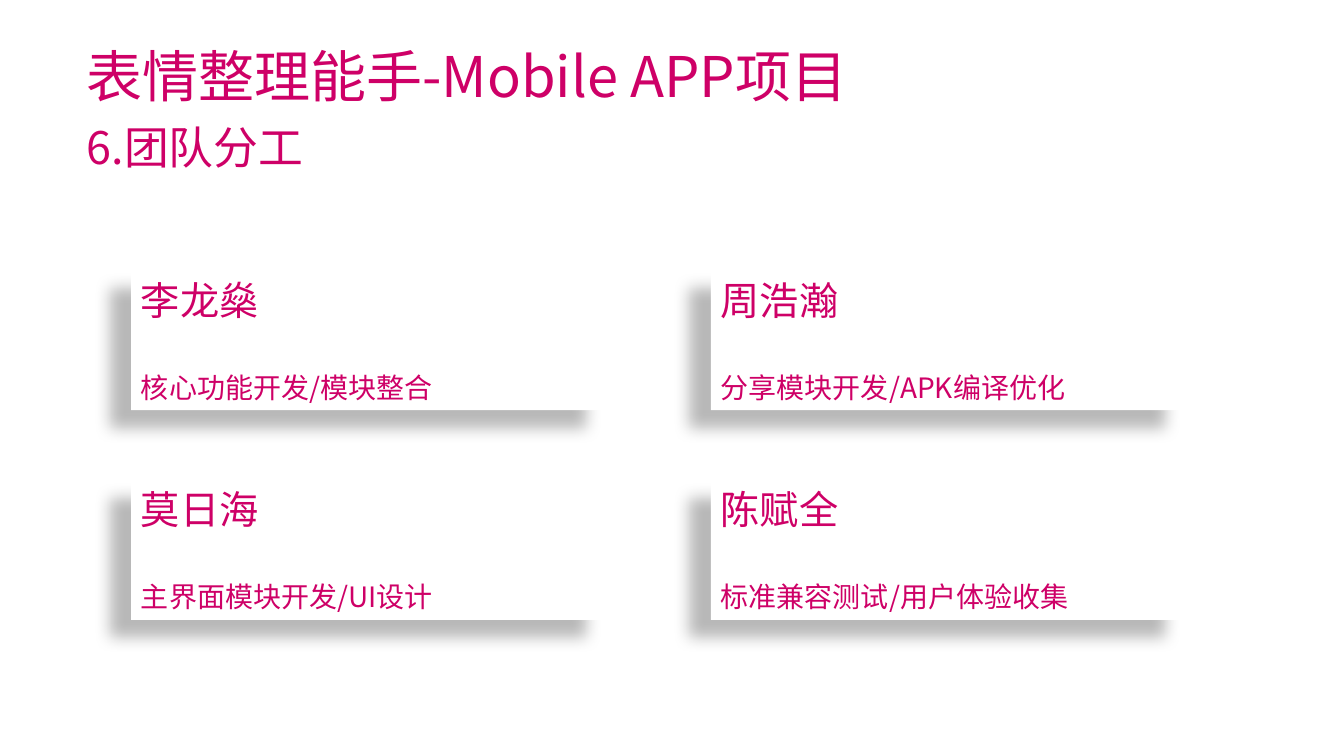
from dataclasses import dataclass

import lxml.etree
import pptx
import pptx.dml.color
import pptx.enum.shapes
import pptx.enum.text
import pptx.oxml
import pptx.oxml.ns
import pptx.presentation
import pptx.slide
import pptx.text.text
import pptx.util

COLORS = {"magenta": "CE0067", "card": "FFFFFF", "shadow": "000000"}
FONT = "Noto Sans CJK SC"
CARD_LEFT, CARD_TOP = 1.3, 2.69
CARD_WIDTH, CARD_HEIGHT = 4.72, 1.38
COLUMN_STEP, ROW_STEP = 5.75, 2.08


@dataclass(frozen=True)
class Member:
    name: str
    duty: str
    column: int
    row: int


@dataclass(frozen=True)
class Heading:
    text: str
    size: int
    left: float
    top: float
    width: float
    height: float


MEMBERS = [
    Member("李龙燊", "核心功能开发/模块整合", 0, 0),
    Member("莫日海", "主界面模块开发/UI设计", 0, 1),
    Member("周浩瀚", "分享模块开发/APK编译优化", 1, 0),
    Member("陈赋全", "标准兼容测试/用户体验收集", 1, 1),
]
HEADINGS = [
    Heading("表情整理能手-Mobile APP项目", 40, 0.76, 0.36, 10.66, 0.77),
    Heading("6.团队分工", 32, 0.76, 1.14, 11.58, 0.64),
]


def rgb(color: str) -> pptx.dml.color.RGBColor:
    return pptx.dml.color.RGBColor.from_string(COLORS[color])


def write_line(paragraph: pptx.text.text._Paragraph, text: str, size: int) -> None:
    paragraph.alignment = pptx.enum.text.PP_ALIGN.LEFT
    run = paragraph.add_run()
    run.text = text
    run.font.size = pptx.util.Pt(size)
    run.font.name = FONT
    run.font.color.rgb = rgb("magenta")
    east_asian = lxml.etree.SubElement(run.font._element, pptx.oxml.ns.qn("a:ea"))
    east_asian.set("typeface", FONT)


def fill_heading(slide: pptx.slide.Slide, index: int, heading: Heading) -> None:
    holder = slide.placeholders[index]
    holder.left, holder.top, holder.width, holder.height = map(
        pptx.util.Inches, (heading.left, heading.top, heading.width, heading.height)
    )
    frame = holder.text_frame
    frame.word_wrap = True
    frame.auto_size = pptx.enum.text.MSO_AUTO_SIZE.NONE
    frame.vertical_anchor = pptx.enum.text.MSO_ANCHOR.TOP
    paragraph = frame.paragraphs[0]
    properties = paragraph._p.get_or_add_pPr()
    properties.set("marL", "0")
    properties.set("indent", "0")
    lxml.etree.SubElement(properties, pptx.oxml.ns.qn("a:buNone"))
    paragraph.space_before = pptx.util.Pt(0)
    write_line(paragraph, heading.text, heading.size)


def add_card(slide: pptx.slide.Slide, member: Member) -> None:
    card = slide.shapes.add_shape(
        pptx.enum.shapes.MSO_SHAPE.RECTANGLE,
        pptx.util.Inches(CARD_LEFT + member.column * COLUMN_STEP),
        pptx.util.Inches(CARD_TOP + member.row * ROW_STEP),
        pptx.util.Inches(CARD_WIDTH),
        pptx.util.Inches(CARD_HEIGHT),
    )
    card.fill.solid()
    card.fill.fore_color.rgb = rgb("card")
    card.line.fill.background()
    card.shadow.inherit = False
    effects = card._element.spPr.find(pptx.oxml.ns.qn("a:effectLst"))
    effects.append(pptx.oxml.parse_xml(
        f'<a:outerShdw {pptx.oxml.ns.nsdecls("a")} blurRad="{pptx.util.Pt(11.8)}" '
        f'dist="{pptx.util.Pt(19.7)}" dir="{141 * 60000}" algn="ctr" rotWithShape="0">'
        f'<a:srgbClr val="{COLORS["shadow"]}"><a:alpha val="28000"/></a:srgbClr>'
        "</a:outerShdw>"
    ))
    frame = card.text_frame
    frame.word_wrap = True
    frame.vertical_anchor = pptx.enum.text.MSO_ANCHOR.TOP
    write_line(frame.paragraphs[0], member.name, 28)
    duty = frame.add_paragraph()
    duty.space_before = pptx.util.Pt(33.6)
    write_line(duty, member.duty, 20)


def build() -> pptx.presentation.Presentation:
    deck = pptx.Presentation()
    deck.slide_width = pptx.util.Inches(13.33)
    deck.slide_height = pptx.util.Inches(7.5)
    slide = deck.slides.add_slide(deck.slide_layouts[1])
    for index, heading in enumerate(HEADINGS):
        fill_heading(slide, index, heading)
    for member in MEMBERS:
        add_card(slide, member)
    return deck


if __name__ == "__main__":
    build().save("out.pptx")
